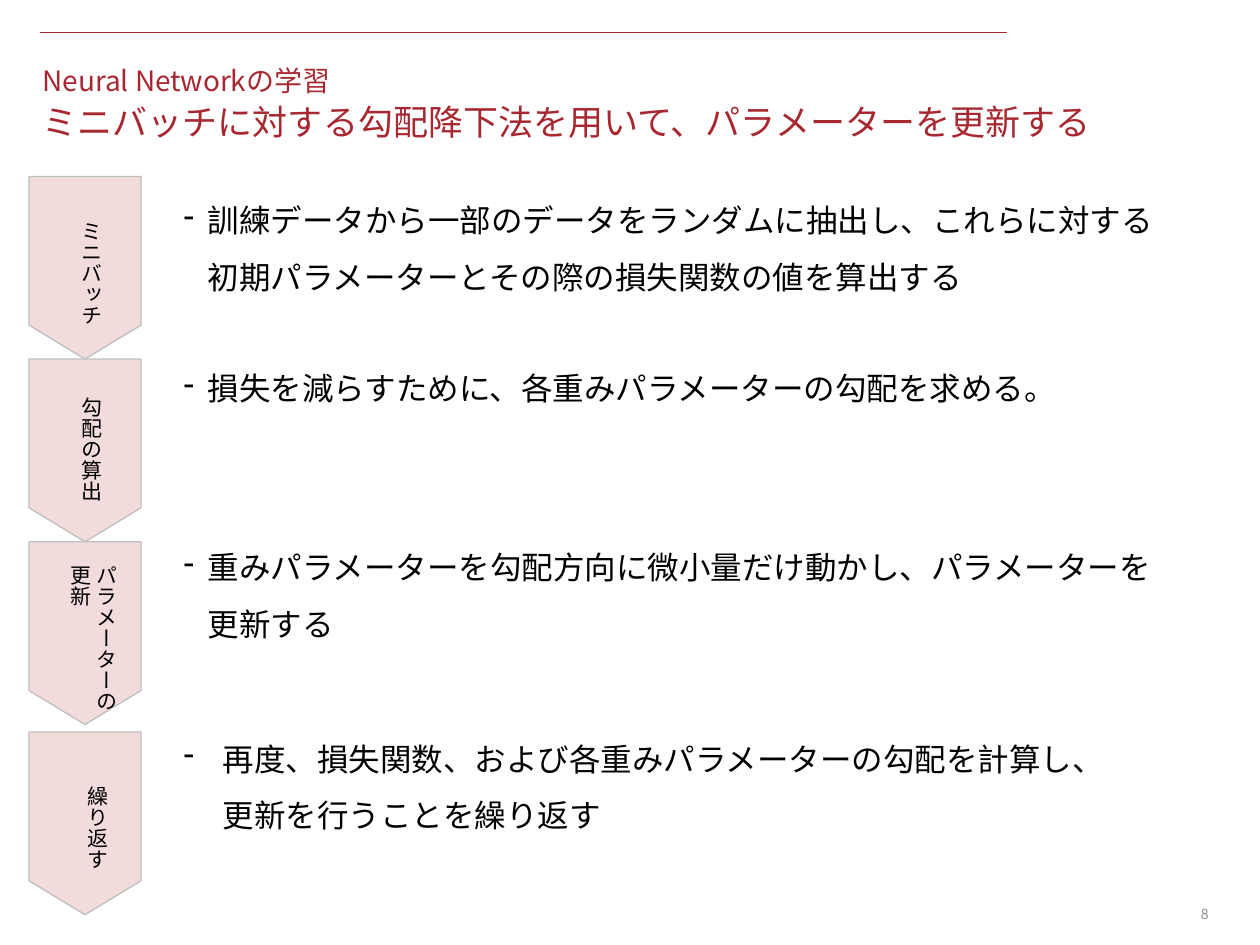
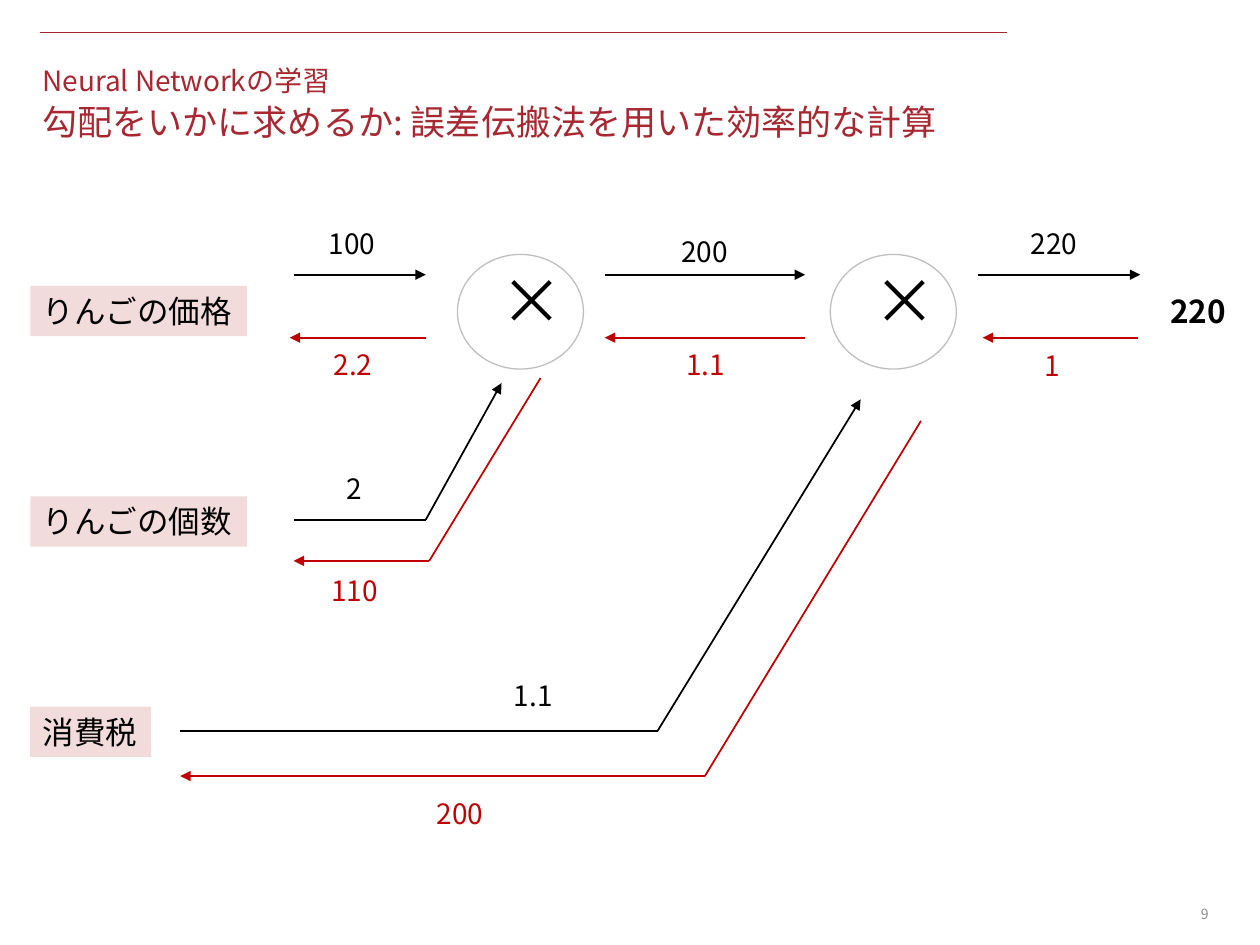
from dataclasses import dataclass
from itertools import pairwise

from lxml import etree
from pptx import Presentation
from pptx.dml.color import RGBColor
from pptx.enum.shapes import MSO_CONNECTOR, MSO_SHAPE
from pptx.enum.text import MSO_ANCHOR, MSO_AUTO_SIZE, PP_ALIGN
from pptx.oxml.ns import qn
from pptx.util import Pt

STRAIGHT = MSO_CONNECTOR.STRAIGHT
PENTAGON, ELLIPSE, RECTANGLE = MSO_SHAPE.PENTAGON, MSO_SHAPE.OVAL, MSO_SHAPE.RECTANGLE
MIDDLE, TOP = MSO_ANCHOR.MIDDLE, MSO_ANCHOR.TOP
LEFT, RIGHT = PP_ALIGN.LEFT, PP_ALIGN.RIGHT
GROW, FIXED = MSO_AUTO_SIZE.SHAPE_TO_FIT_TEXT, MSO_AUTO_SIZE.NONE


@dataclass(frozen=True)
class Theme:
    """Colours, font and type sizes shared by the slides."""
    font: str = "Noto Sans CJK JP"
    accent: str = "A82831"
    text: str = "000000"
    backward: str = "C00000"
    muted: str = "8C8C8C"
    outline: str = "BFBFBF"
    panel: str = "F2DCDB"
    title: int = 20
    section: int = 16
    body: int = 18
    value: int = 16
    step: int = 12
    operator: int = 36
    number: int = 8


@dataclass(frozen=True)
class Box:
    """A region in points."""
    left: float
    top: float
    width: float
    height: float

    def inner(self, dx, dy, width, height):
        """Return a box whose corner is offset from this box's corner."""
        return Box(self.left + dx, self.top + dy, width, height)

    def lengths(self):
        """Return the four values python-pptx expects."""
        return [Pt(v) for v in (self.left, self.top, self.width, self.height)]


THEME = Theme()
SLIDE = Box(0, 0, 720, 540)
SECTION = "Neural Networkの学習"


def apply_format(target, **values):
    """Set each named attribute on the target."""
    for name, value in values.items():
        setattr(target, name, value)


def add_run(paragraph, text, size, color, bold=False):
    """Append a run in the theme font, for Latin and Japanese alike."""
    run = paragraph.add_run()
    run.text = text
    run.font.color.rgb = RGBColor.from_string(color)
    apply_format(run.font, size=Pt(size), name=THEME.font, bold=bold)
    east_asian = etree.SubElement(run._r.get_or_add_rPr(), qn("a:ea"))
    east_asian.set("typeface", THEME.font)


def write_lines(paragraph, lines, color):
    """Write (text, size) lines in one paragraph, parted by line breaks."""
    for index, (text, size) in enumerate(lines):
        if index:
            paragraph.add_line_break()
        add_run(paragraph, text, size, color)


def add_text(shapes, box, text, size, color=THEME.text, bold=False,
             align=LEFT, **frame_format):
    """Add a text box with one paragraph per line of text."""
    label = shapes.add_textbox(*box.lengths())
    frame = label.text_frame
    apply_format(frame, **{"word_wrap": False, "auto_size": GROW,
                           "vertical_anchor": TOP, **frame_format})
    for index, line in enumerate(text.split("\n")):
        paragraph = frame.add_paragraph() if index else frame.paragraphs[0]
        paragraph.alignment = align
        add_run(paragraph, line, size, color, bold)
    return label


def add_panel(shapes, kind, box, fill=None, outline=None):
    """Add a preset shape with an optional fill and outline."""
    panel = shapes.add_shape(kind, *box.lengths())
    panel.shadow.inherit = False
    if fill:
        panel.fill.solid()
        panel.fill.fore_color.rgb = RGBColor.from_string(fill)
    else:
        panel.fill.background()
    if outline:
        panel.line.color.rgb = RGBColor.from_string(outline)
        panel.line.width = Pt(0.75)
    else:
        panel.line.fill.background()
    return panel


def add_route(shapes, box, points, color, width=1, arrow=True):
    """Join points with straight lines, with an arrowhead at the last one."""
    for start, end in pairwise(points):
        ends = [Pt(v) for x, y in (start, end) for v in (box.left + x, box.top + y)]
        segment = shapes.add_connector(STRAIGHT, *ends)
        segment.line.color.rgb = RGBColor.from_string(color)
        segment.line.width = Pt(width)
        properties = segment._element.spPr
        if arrow and end == points[-1]:
            head = etree.SubElement(properties.find(qn("a:ln")), qn("a:tailEnd"))
            head.set("type", "triangle")
        etree.SubElement(properties, qn("a:effectLst"))


def add_page(deck, title, number):
    """Add a blank slide with the rule, the two-line title and its number."""
    slide = deck.slides.add_slide(deck.slide_layouts[6])
    add_route(slide.shapes, SLIDE, [(23, 18.7), (575.3, 18.7)],
              THEME.accent, width=0.5, arrow=False)
    heading = slide.shapes.add_textbox(*SLIDE.inner(17.3, 43.9, 681, 28.1).lengths())
    apply_format(heading.text_frame, word_wrap=True, vertical_anchor=MIDDLE)
    paragraph = heading.text_frame.paragraphs[0]
    paragraph.line_spacing = 1.1
    write_lines(paragraph, [(SECTION, THEME.section), (title, THEME.title)],
                THEME.accent)
    add_text(slide.shapes, SLIDE.inner(529.9, 512.6, 167.8, 19.4), str(number),
             THEME.number, THEME.muted, align=RIGHT, word_wrap=True,
             auto_size=FIXED, vertical_anchor=MIDDLE)
    return slide


def add_step_arrow(shapes, box):
    """Add a pentagon that points down and fills the box."""
    shift = (box.width - box.height) / 2
    arrow = add_panel(shapes, PENTAGON,
                      box.inner(shift, -shift, box.height, box.width),
                      THEME.panel, THEME.outline)
    arrow.rotation = 90
    arrow.adjustments[0] = 0.303


def add_step_name(shapes, box, name, size, nudge):
    """Write a vertical step name about the centre of the box."""
    width, height = size
    dx, dy = nudge
    label = add_text(shapes, box.inner((box.width - width) / 2 + dx,
                                       (box.height - height) / 2 + dy,
                                       width, height), name, THEME.step)
    label.text_frame._txBody.bodyPr.set("vert", "eaVert")


def add_explanation(shapes, box, text, indent):
    """Write a dash-bulleted explanation with a hanging indent."""
    note = shapes.add_textbox(*box.lengths())
    apply_format(note.text_frame, word_wrap=True, auto_size=GROW)
    paragraph = note.text_frame.paragraphs[0]
    paragraph.line_spacing = 1.5
    write_lines(paragraph, [(line, THEME.body) for line in text.split("\n")],
                THEME.text)
    properties = paragraph._p.get_or_add_pPr()
    properties.set("marL", str(Pt(indent)))
    properties.set("indent", str(-Pt(indent)))
    etree.SubElement(properties, qn("a:buChar")).set("char", "-")


def add_steps(slide, box):
    """Place the four training steps down the box, each with its text."""
    arrow_width, arrow_height = 64, 104.4
    # top, name, name size, name nudge, text, text offset, text height, indent
    steps = [
        (0, "ミニバッチ", (28.8, 67.7), (0, 0),
         "訓練データから一部のデータをランダムに抽出し、これらに対する"
         "初期パラメーターとその際の損失関数の値を算出する", 0, 67, 13.7),
        (arrow_height, "勾配の算出", (28.8, 67.7), (0, -4),
         "損失を減らすために、各重みパラメーターの勾配を求める。", -8.6, 34.6, 13.7),
        (2 * arrow_height, "パラメーターの\n更新", (43.9, 92.2), (0.7, 0),
         "重みパラメーターを勾配方向に微小量だけ動かし、パラメーターを更新する",
         -10.8, 72.7, 13.7),
        (3 * arrow_height + 4.3, "繰り返す", (28.8, 55.4), (3.2, -0.7),
         "再度、損失関数、および各重みパラメーターの勾配を計算し、\n"
         "更新を行うことを繰り返す", -10, 72.7, 22.3),
    ]
    for top, name, size, nudge, text, offset, height, indent in steps:
        arrow = box.inner(0, top, arrow_width, arrow_height)
        add_step_arrow(slide.shapes, arrow)
        add_step_name(slide.shapes, arrow, name, size, nudge)
        add_explanation(slide.shapes,
                        box.inner(81.3, top + offset, box.width - 81.3, height),
                        text, indent)


def add_operator(slide, box):
    """Add a grouped multiplication node."""
    node = slide.shapes.add_group_shape().shapes
    add_panel(node, ELLIPSE, box, outline=THEME.outline)
    add_text(node, box.inner(17.7, 0.7, 38.2, 51.1), "×", THEME.operator)


def add_inputs(slide, box):
    """Stack the named inputs at an equal pitch."""
    inputs = [("りんごの価格", 123.8), ("りんごの個数", 123.8), ("消費税", 69.1)]
    for row, (name, width) in enumerate(inputs):
        label = box.inner(0, row * 120.2, width, 28.8)
        panel = add_panel(slide.shapes, RECTANGLE, label, THEME.panel)
        apply_format(panel.text_frame, word_wrap=False, auto_size=GROW,
                     vertical_anchor=TOP)
        paragraph = panel.text_frame.paragraphs[0]
        paragraph.alignment = LEFT
        add_run(paragraph, name, THEME.body, THEME.text)


def add_graph(slide, box):
    """Draw the forward and backward passes of the calculation graph."""
    add_inputs(slide, box.inner(0, 37.4, box.width, 270))
    for left in (244.1, 457.2):
        add_operator(slide, box.inner(left, 19.4, 72, 65.5))

    ahead, back = 31, 67
    routes = {
        THEME.text: [
            [(150.5, ahead), (226, ahead)],
            [(328.3, ahead), (442.8, ahead)],
            [(541.4, ahead), (634.3, ahead)],
            [(150.5, 171), (226, 171), (269.3, 92.9)],
            [(85.7, 291.6), (358.5, 291.6), (474.5, 102.2)],
        ],
        THEME.backward: [
            [(632.9, back), (544.3, back)],
            [(442.8, back), (328.3, back)],
            [(226, back), (148.3, back)],
            [(291.6, 90), (228, 194.5), (150.5, 194.5)],
            [(509, 114.5), (385.5, 317.5), (85.7, 317.5)],
        ],
    }
    # text, left, top, width, wrap
    values = {
        THEME.text: [
            ("100", 163.4, 0, 46, False), ("2", 173.5, 139.7, 37.4, True),
            ("1.1", 269.3, 258.5, 61.9, True), ("200", 365, 4.3, 46, False),
            ("220", 564.5, 0, 46, False),
        ],
        THEME.backward: [
            ("1", 572.4, 69.8, 25.2, False), ("1.1", 367.9, 69.1, 39.6, False),
            ("2.2", 166.3, 69.1, 39.6, False), ("110", 164.9, 198, 46, False),
            ("200", 225.3, 325.4, 46, False),
        ],
    }
    for color, paths in routes.items():
        for points in paths:
            add_route(slide.shapes, box, points, color)
    for color, entries in values.items():
        for text, left, top, width, wrap in entries:
            add_text(slide.shapes, box.inner(left, top, width, 26.6), text,
                     THEME.value, color, word_wrap=wrap)
    add_text(slide.shapes, box.inner(644.4, 37.4, 50.4, 28.8), "220",
             THEME.body, bold=True)


def main():
    """Build and save the two slides."""
    deck = Presentation()
    apply_format(deck, slide_width=Pt(SLIDE.width), slide_height=Pt(SLIDE.height))
    training = add_page(
        deck, "ミニバッチに対する勾配降下法を用いて、パラメーターを更新する", 8)
    add_steps(training, SLIDE.inner(16.6, 100.8, 666, 422))
    gradient = add_page(
        deck, "勾配をいかに求めるか: 誤差伝搬法を用いた効率的な計算", 9)
    add_graph(gradient, SLIDE.inner(17.3, 126, 695, 352))
    deck.save("out.pptx")


main()
